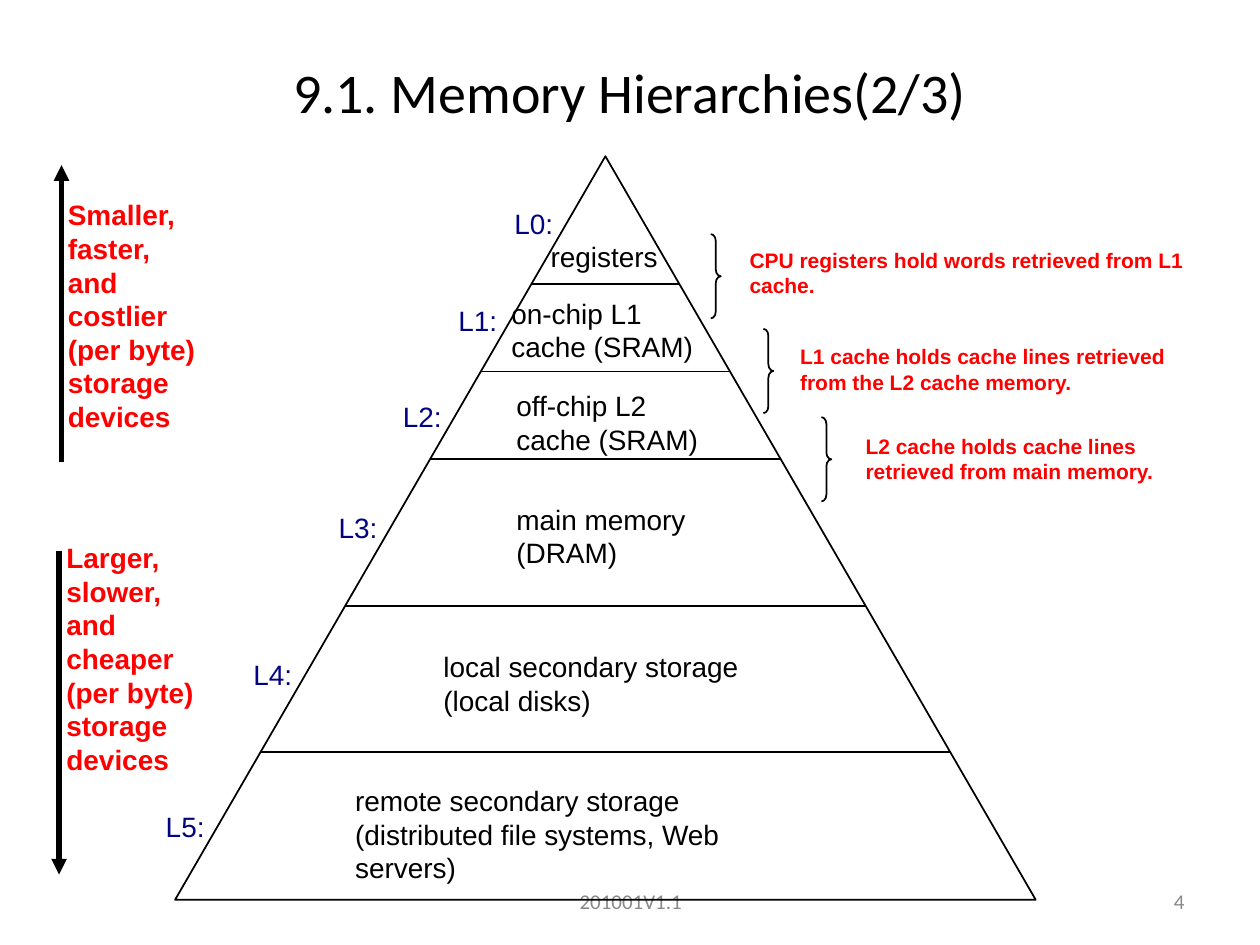
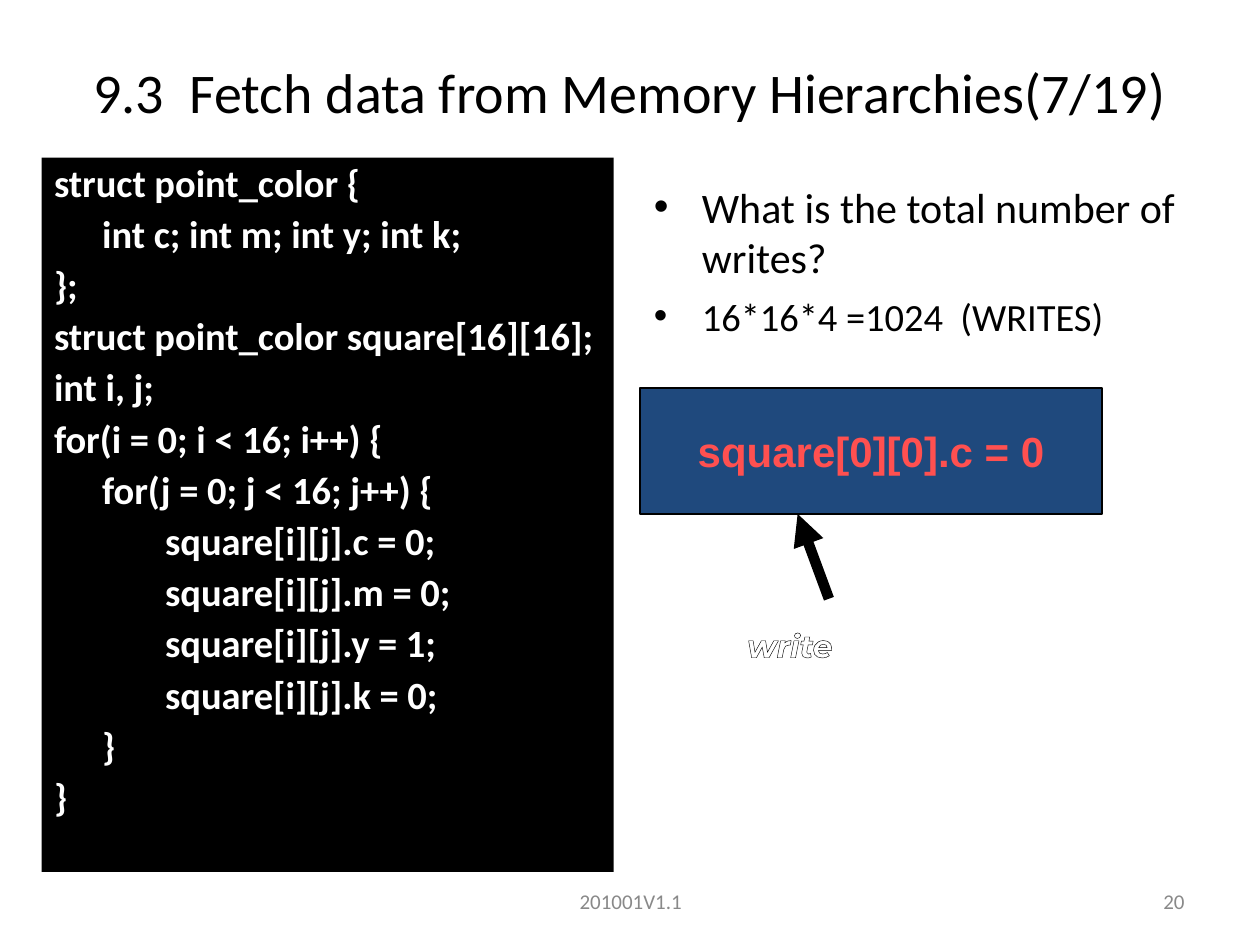
import pptx
import pptx.util
import pptx.dml.color
import pptx.enum.shapes
import pptx.enum.text
import pptx.oxml
import pptx.oxml.ns

Cm = pptx.util.Cm
Pt = pptx.util.Pt
SHAPES = pptx.enum.shapes.MSO_SHAPE
ANCHOR = pptx.enum.text.MSO_ANCHOR
ALIGN = pptx.enum.text.PP_ALIGN

BLACK, WHITE, RED = "000000", "FFFFFF", "FF0000"
NAVY, GREY, BLUE, CORAL = "000482", "898989", "1F497D", "FF5050"

TITLE = {"name": "Calibri", "size": 32, "color": BLACK}
FOOTER = {"name": "Calibri", "size": 12, "color": GREY}
LEVEL_TEXT = {"name": "Arial", "size": 16, "color": BLACK}
LEVEL_LABEL = {"name": "Arial", "size": 16, "color": NAVY}
TREND = {"name": "Arial", "size": 16, "color": RED, "bold": True}
NOTE = {"name": "Arial", "size": 12, "color": RED, "bold": True}
CODE = {"name": "Calibri", "size": 22, "color": WHITE, "bold": True}
QUESTION = {"name": "Calibri", "size": 24, "color": BLACK}
ANSWER = {"name": "Calibri", "size": 22, "color": BLACK}
STATEMENT = {"name": "Arial", "size": 24, "color": CORAL, "bold": True}
WRITE = {"name": "Montserrat", "size": 18, "color": WHITE, "bold": True, "italic": True}

FOOTER_TEXT = "201001V1.1"
HANGING = 0.97  # indent of code and bullets, in cm

# All places below are in centimetres.
PYRAMID = {"left": 3.53, "top": 3.15, "width": 17.35, "height": 14.99}
DIVIDERS = [5.72, 7.49, 9.25, 12.22, 15.16]
# label middle, text left, text middle, text width, lines
LEVELS = [
    (4.51, 10.85, 5.17, 2.67, ["registers"]),
    (6.46, 10.06, 6.65, 4.17, ["on-chip L1", "cache (SRAM)"]),
    (8.39, 10.16, 8.51, 4.17, ["off-chip L2", "cache (SRAM)"]),
    (10.63, 10.16, 10.8, 3.91, ["main memory", "(DRAM)"]),
    (13.6, 8.69, 13.77, 6.45, ["local secondary storage", "(local disks)"]),
    (16.65, 6.91, 16.81, 10.03,
     ["remote secondary storage", "(distributed file systems, Web servers)"]),
]
# brace left, brace top, note left, note middle, note width, text
NOTES = [
    (14.33, 4.72, 14.86, 5.49, 9.4,
     "CPU registers hold words retrieved from L1 cache."),
    (15.39, 6.63, 15.88, 7.44, 7.87,
     "L1 cache holds cache lines retrieved from the L2 cache memory."),
    (16.56, 8.41, 17.2, 9.25, 7.29,
     "L2 cache holds cache lines retrieved from main memory."),
]
# text left, text top, arrow x, arrow start, arrow end, lines
TRENDS = [
    (1.12, 3.86, 1.24, 9.32, 3.33,
     ["Smaller,", "faster,", "and", "costlier", "(per byte)", "storage", "devices"]),
    (1.09, 10.77, 1.19, 11.1, 17.63,
     ["Larger,", "slower,", "and", "cheaper", "(per byte)", "storage", "devices"]),
]
CODE_LINES = [
    "struct point_color {",
    "\tint c; int m; int y; int k;",
    "};",
    "struct point_color square[16][16];",
    "int i, j;",
    "for(i = 0; i < 16; i++) {",
    "\tfor(j = 0; j < 16; j++) {",
    "\t\tsquare[i][j].c = 0;",
    "\t\tsquare[i][j].m = 0;",
    "\t\tsquare[i][j].y = 1;",
    "\t\tsquare[i][j].k = 0;",
    "\t}",
    "}",
]
BULLETS = [
    ("What is the total number of writes?", QUESTION),
    ("16*16*4 =1024  (WRITES)", ANSWER),
]


def rgb(color):
    return pptx.dml.color.RGBColor.from_string(color)


def add_xml(parent, markup, index=None):
    """Put a drawing element, given without its namespace, into parent."""
    tag, rest = markup[1:].split(" ", 1)
    element = pptx.oxml.parse_xml(f"<{tag} {pptx.oxml.ns.nsdecls('a')} {rest}")
    parent.insert(len(parent) if index is None else index, element)


def format_font(font, values):
    for key, value in values.items():
        if key == "color":
            font.color.rgb = rgb(value)
        else:
            setattr(font, key, Pt(value) if key == "size" else value)


def write_text(shape, lines, style, align=ALIGN.LEFT, anchor=ANCHOR.MIDDLE, wrap=False):
    """Write one paragraph a line; a line is a string or a (string, style) pair."""
    frame = shape.text_frame
    frame.word_wrap = wrap
    frame.vertical_anchor = anchor
    for number, line in enumerate(lines):
        text, line_style = (line, style) if isinstance(line, str) else line
        paragraph = frame.paragraphs[0] if number == 0 else frame.add_paragraph()
        paragraph.alignment = align
        run = paragraph.add_run()
        run.text = text
        format_font(run.font, line_style)
    return frame


def add_text(slide, place, lines, style, **options):
    box = slide.shapes.add_textbox(*map(Cm, place))
    write_text(box, lines, style, **options)
    return box


def add_outline_shape(slide, preset, place, fill=None):
    shape = slide.shapes.add_shape(preset, *map(Cm, place))
    shape.shadow.inherit = False
    if fill:
        shape.fill.solid()
        shape.fill.fore_color.rgb = rgb(fill)
    else:
        shape.fill.background()
    shape.line.color.rgb = rgb(BLACK)
    shape.line.width = Pt(1)
    return shape


def add_line(slide, start, end, width=1, arrow=False):
    line = slide.shapes.add_connector(
        pptx.enum.shapes.MSO_CONNECTOR.STRAIGHT, *map(Cm, start + end))
    line.line.color.rgb = rgb(BLACK)
    line.line.width = Pt(width)
    if arrow:
        add_xml(line.line._get_or_add_ln(), '<a:tailEnd type="triangle"/>')
    add_xml(line._element.spPr, "<a:effectLst />")


def hang_paragraphs(frame, space_before, bullet=False, tabs=False, line_spacing=None):
    for number, paragraph in enumerate(frame.paragraphs):
        properties = paragraph._p.get_or_add_pPr()
        properties.set("marL", str(Cm(HANGING)))
        properties.set("indent", str(-Cm(HANGING)))
        if bullet:
            add_xml(properties, '<a:buFont typeface="Arial"/>')
            add_xml(properties, '<a:buChar char="•"/>')
        if tabs:
            stops = "".join(f'<a:tab pos="{Cm(2.54 * stop)}" algn="l"/>' for stop in range(8))
            add_xml(properties, f"<a:tabLst >{stops}</a:tabLst>")
        paragraph.space_before = Pt(space_before if number else 0)
        if line_spacing:
            paragraph.line_spacing = line_spacing


def add_slide(presentation, title, number):
    slide = presentation.slides.add_slide(presentation.slide_layouts[5])
    shape = slide.shapes.title
    place = {"left": 0, "top": 0.76, "width": 25.4, "height": 2.16}
    for key, value in place.items():
        setattr(shape, key, Cm(value))
    write_text(shape, [title], TITLE, align=ALIGN.CENTER, wrap=True)
    add_text(slide, (8.69, 17.65, 8.05, 1.02), [FOOTER_TEXT], FOOTER,
             align=ALIGN.CENTER, wrap=True)
    add_text(slide, (18.21, 17.65, 5.92, 1.02), [str(number)], FOOTER,
             align=ALIGN.RIGHT, wrap=True)
    return slide


def pyramid_edges(y):
    """Return the left and right x of the pyramid at height y."""
    middle = PYRAMID["left"] + PYRAMID["width"] / 2
    half = PYRAMID["width"] / 2 * (y - PYRAMID["top"]) / PYRAMID["height"]
    return middle - half, middle + half


def build_hierarchy_slide(presentation):
    slide = add_slide(presentation, "9.1. Memory Hierarchies(2/3)", 4)
    add_outline_shape(slide, SHAPES.ISOSCELES_TRIANGLE, PYRAMID.values())
    for y in DIVIDERS:
        left, right = pyramid_edges(y)
        add_line(slide, (left, y), (right, y))

    label_width, label_height = 1.3, 0.94
    for number, (label_middle, left, middle, width, lines) in enumerate(LEVELS):
        label_left = pyramid_edges(label_middle)[0] - label_width
        add_text(slide, (label_left, label_middle - label_height / 2, label_width, label_height),
                 [f"L{number}:"], LEVEL_LABEL)
        height = 0.25 + 0.69 * len(lines)
        add_text(slide, (left, middle - height / 2, width, height), lines, LEVEL_TEXT)

    note_height = 1.27
    for brace_left, brace_top, left, middle, width, text in NOTES:
        brace = add_outline_shape(slide, SHAPES.RIGHT_BRACE, (brace_left, brace_top, 0.2, 1.7))
        brace.adjustments[0] = 0.7
        add_text(slide, (left, middle - note_height / 2, width, note_height),
                 [text], NOTE, wrap=True)

    for left, top, x, start, end, lines in TRENDS:
        add_line(slide, (x, start), (x, end), width=3, arrow=True)
        add_text(slide, (left, top, 3.07, 5), lines, TREND)


def build_fetch_slide(presentation):
    slide = add_slide(presentation, "9.3  Fetch data from Memory Hierarchies(7/19)", 20)
    code = add_text(slide, (0.84, 3.18, 11.53, 14.4), CODE_LINES, CODE,
                    anchor=ANCHOR.TOP, wrap=True)
    code.fill.solid()
    code.fill.fore_color.rgb = rgb(BLACK)
    hang_paragraphs(code.text_frame, 5.5, tabs=True, line_spacing=0.9)

    question = add_text(slide, (12.93, 3.53, 11.2, 3.73), BULLETS, QUESTION,
                        anchor=ANCHOR.TOP, wrap=True)
    hang_paragraphs(question.text_frame, 6, bullet=True)

    statement = add_outline_shape(slide, SHAPES.RECTANGLE, (12.9, 7.82, 9.32, 2.54), BLUE)
    write_text(statement, ["square[0][0].c = 0"], STATEMENT, align=ALIGN.CENTER)
    add_line(slide, (16.71, 12.07), (16.08, 10.36), width=6, arrow=True)

    write = add_text(slide, (14.81, 12.5, 3.58, 1.78), ["write"], WRITE, anchor=ANCHOR.TOP)
    run = write.text_frame.paragraphs[0].runs[0]
    add_xml(run._r.get_or_add_rPr(),
            f'<a:ln w="{Pt(0.75)}"><a:solidFill><a:srgbClr val="{BLACK}"/></a:solidFill></a:ln>',
            index=0)


def main():
    presentation = pptx.Presentation()
    presentation.slide_width = Cm(25.4)
    presentation.slide_height = Cm(19.05)
    build_hierarchy_slide(presentation)
    build_fetch_slide(presentation)
    presentation.save("out.pptx")


if __name__ == "__main__":
    main()
